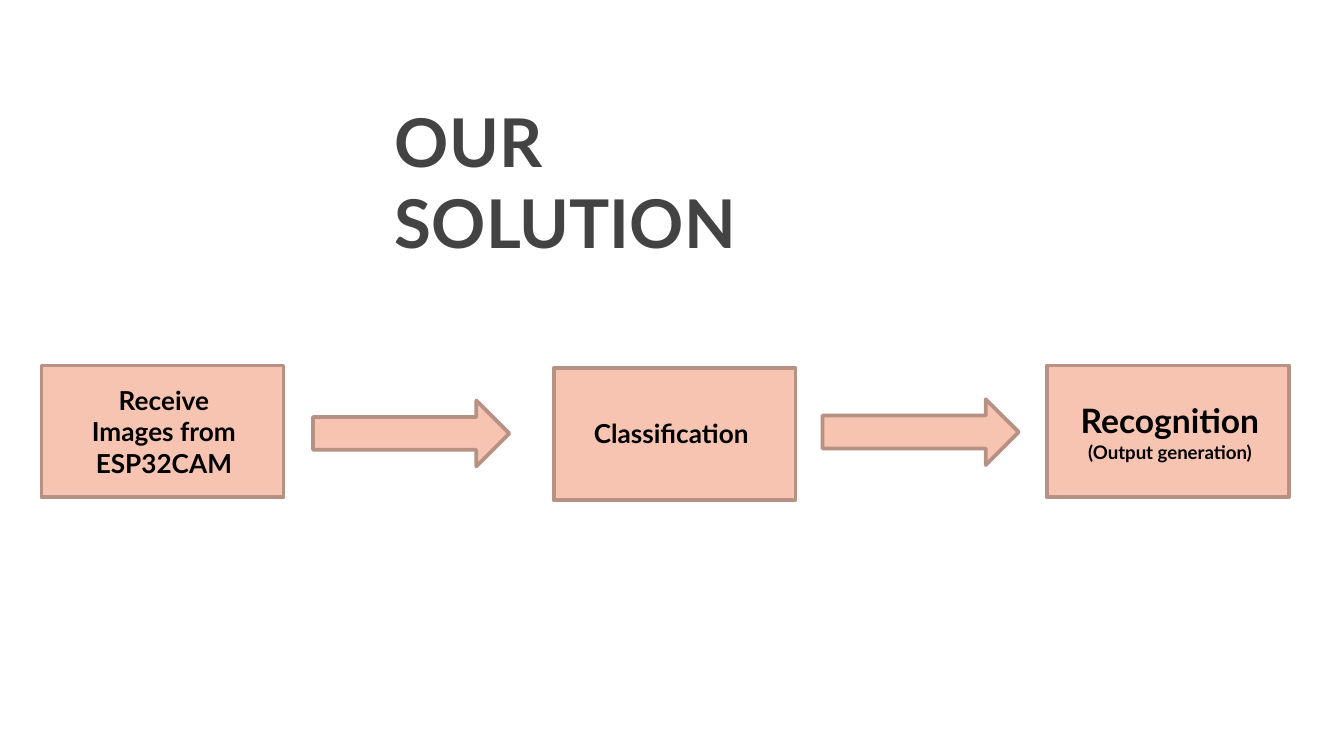
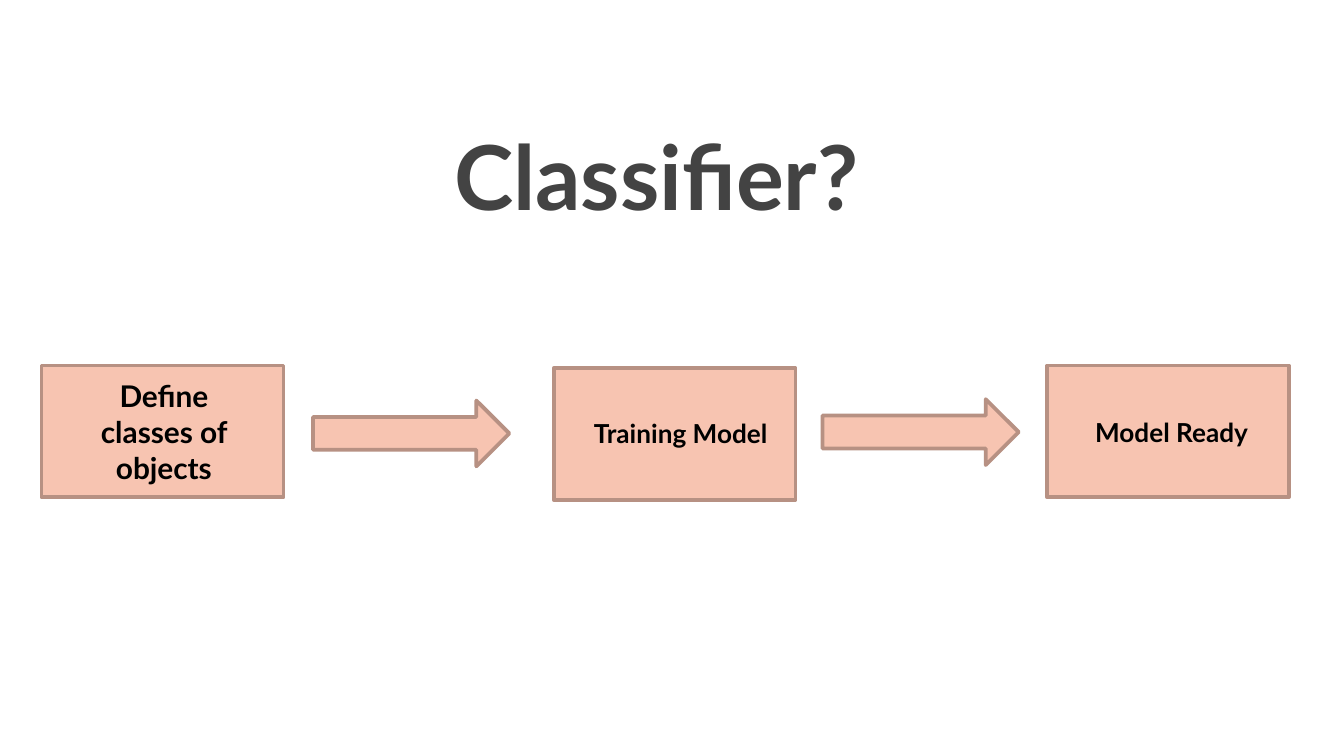
from lxml.etree import SubElement
from pptx import Presentation
from pptx.dml.color import RGBColor
from pptx.enum.shapes import MSO_SHAPE as Preset
from pptx.enum.text import PP_ALIGN as Align
from pptx.oxml.ns import qn
from pptx.util import Inches, Pt

PEACH = RGBColor(0xF7, 0xC4, 0xB1)
BROWN = RGBColor(0xB7, 0x91, 0x83)
CHARCOAL = RGBColor(0x43, 0x43, 0x43)
BLACK = RGBColor(0, 0, 0)

STEP_SIZE = (1.8, 0.98)
ARROW_SIZE = (1.46, 0.49)
FLOW = [
    (Preset.RECTANGLE, (0.31, 2.72), STEP_SIZE),
    (Preset.RIGHT_ARROW, (2.33, 2.98), ARROW_SIZE),
    (Preset.RECTANGLE, (4.12, 2.74), STEP_SIZE),
    (Preset.RIGHT_ARROW, (6.12, 2.97), ARROW_SIZE),
    (Preset.RECTANGLE, (7.79, 2.72), STEP_SIZE),
]

SLIDES = [
    {
        "title": ("OUR SOLUTION", 36, (2.84, 0.65, 3.95, 0.63)),
        "labels": [
            ((0.48, 2.81, 1.48, 0.81), Align.CENTER, [("Receive Images from ESP32CAM", 14)]),
            ((4.32, 3.06, 1.54, 0.34), Align.LEFT, [("Classification", 14)]),
            ((7.89, 2.93, 1.63, 0.57), Align.CENTER,
             [("Recognition", 18), ("(Output generation)", 10)]),
        ],
    },
    {
        "title": ("Classifier?", 48, (3.28, 0.8, 3.49, 0.63)),
        "labels": [
            ((0.48, 2.76, 1.48, 0.91), Align.CENTER, [("Define classes of objects", 16)]),
            ((4.32, 3.06, 1.54, 0.34), Align.LEFT, [("Training Model", 14)]),
            ((8.05, 3.05, 1.47, 0.34), Align.LEFT, [("Model Ready", 14)]),
        ],
    },
]


def add_text(page, place, lines, color, align=Align.LEFT):
    box = page.shapes.add_textbox(*map(Inches, place))
    frame = box.text_frame
    frame.word_wrap = True
    for index, (text, size) in enumerate(lines):
        para = frame.add_paragraph() if index else frame.paragraphs[0]
        para.alignment = align
        span = para.add_run()
        span.text = text
        span.font.color.rgb = color
        for name, value in {"name": "Lato", "size": Pt(size), "bold": True}.items():
            setattr(span.font, name, value)
    return frame


deck = Presentation()
deck.slide_width = Inches(10)
deck.slide_height = deck.slide_width * 9 // 16

for content in SLIDES:
    page = deck.slides.add_slide(deck.slide_layouts[6])

    title, size, place = content["title"]
    frame = add_text(page, place, [(title, size)], CHARCOAL)
    for side in ("left", "top", "right", "bottom"):
        setattr(frame, f"margin_{side}", Inches(0.1))

    for preset, corner, extent in FLOW:
        shape = page.shapes.add_shape(preset, *map(Inches, corner + extent))
        shape.shadow.inherit = False
        shape.fill.solid()
        shape.fill.fore_color.rgb = PEACH
        shape.line.color.rgb = BROWN
        shape.line.width = Pt(2)
        SubElement(shape.line._get_or_add_ln(), qn("a:round"))

    for place, align, lines in content["labels"]:
        add_text(page, place, lines, BLACK, align)

deck.save("out.pptx")
